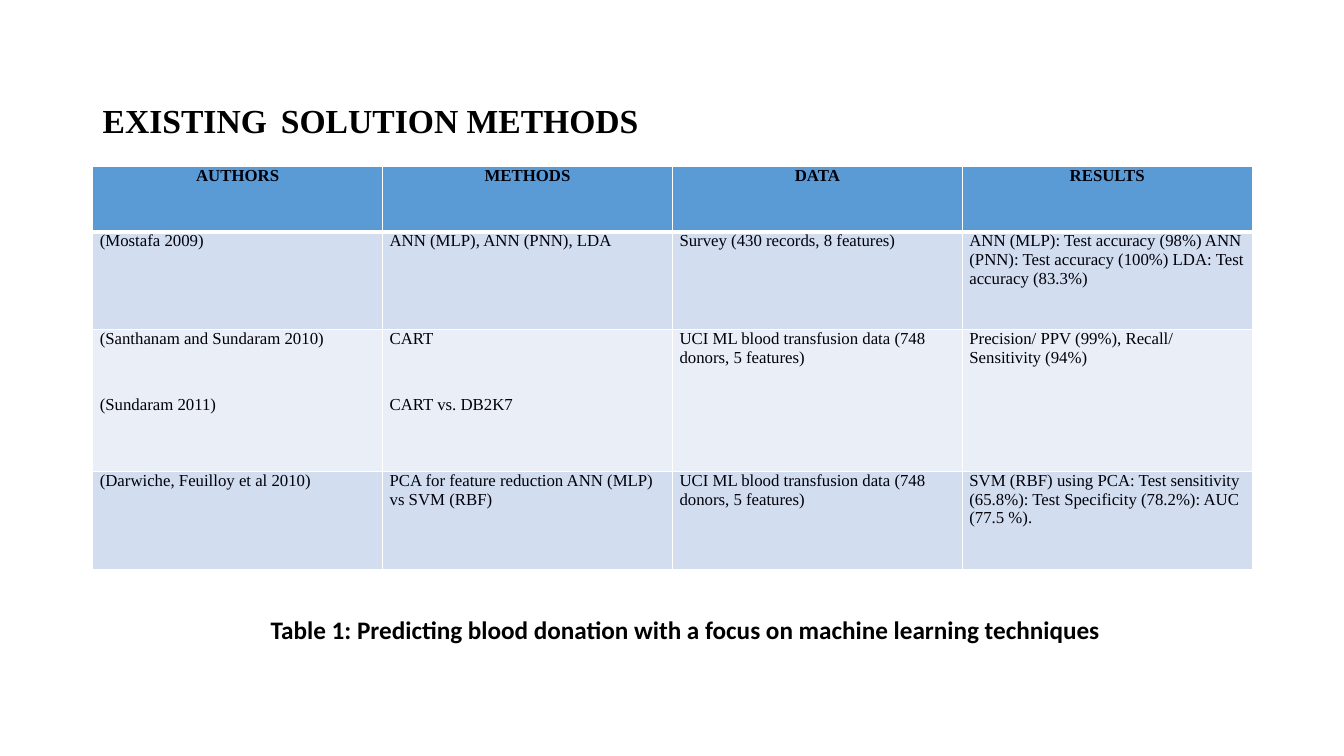
from lxml import etree
from pptx import Presentation
from pptx.dml.color import RGBColor
from pptx.enum.text import MSO_ANCHOR, PP_ALIGN
from pptx.oxml import parse_xml
from pptx.util import Inches, Pt

MIDDLE = MSO_ANCHOR.MIDDLE
CENTER = PP_ALIGN.CENTER
SERIF = "Times New Roman"
SANS = "Calibri"
NS = "http://schemas.openxmlformats.org/drawingml/2006/main"


def style(run, face, size, color, bold):
    run.font.name = face
    run.font.size = Pt(size)
    run.font.color.rgb = RGBColor.from_string(color)
    run.font.bold = bold


def border(cell, side, width):
    line = parse_xml(
        f'<a:{side} xmlns:a="{NS}" w="{Pt(width)}"><a:solidFill>'
        f'<a:srgbClr val="FFFFFF"/></a:solidFill></a:{side}>')
    props = cell._tc.get_or_add_tcPr()
    props.insert(len(props.findall(f"{{{NS}}}*")), line)


deck = Presentation()
deck.slide_width = Inches(13.33)
deck.slide_height = Inches(7.5)
slide = deck.slides.add_slide(deck.slide_layouts[6])

title = slide.shapes.add_textbox(Inches(0.92), Inches(0.4), Inches(11.5), Inches(1.45))
frame = title.text_frame
frame.word_wrap = True
frame.vertical_anchor = MIDDLE
head = frame.paragraphs[0]
head.line_spacing = 0.9
for words, face, size in [("EXISTING", SERIF, 24), (" ", SANS, 44),
                          ("SOLUTION METHODS", SERIF, 24)]:
    run = head.add_run()
    run.text = words
    style(run, face, size, "000000", True)

donors = "UCI ML blood transfusion data (748 donors, 5 features)"
rows = [
    ["AUTHORS", "METHODS", "DATA", "RESULTS"],
    ["(Mostafa 2009)", "ANN (MLP), ANN (PNN), LDA", "Survey (430 records, 8 features)",
     "ANN (MLP): Test accuracy (98%) ANN (PNN): Test accuracy (100%) "
     "LDA: Test accuracy (83.3%)"],
    ["(Santhanam and Sundaram 2010)\n(Sundaram 2011)", "CART\nCART vs. DB2K7", donors,
     "Precision/ PPV (99%), Recall/ Sensitivity (94%)"],
    ["(Darwiche, Feuilloy et al 2010)", "PCA for feature reduction ANN (MLP) vs SVM (RBF)",
     donors,
     "SVM (RBF) using PCA: Test sensitivity (65.8%): Test Specificity (78.2%): "
     "AUC (77.5 %)."],
]
fills = ["5B9BD5", "D2DEEF", "EAEFF7", "D2DEEF"]
heights = [0.65, 0.97, 1.41, 0.97]

table = slide.shapes.add_table(4, 4, Inches(0.92), Inches(1.65), Inches(11.5), Inches(4)).table
for col in table.columns:
    col.width = Inches(11.5 / 4)
for r, texts in enumerate(rows):
    table.rows[r].height = Inches(heights[r])
    for c, words in enumerate(texts):
        cell = table.cell(r, c)
        cell.margin_left = cell.margin_right = Inches(0.07)
        cell.margin_top = cell.margin_bottom = 0
        for side in ("lnL", "lnR", "lnT", "lnB"):
            thick = (r, side) in [(0, "lnB"), (1, "lnT")]
            border(cell, side, 3 if thick else 1)
        cell.fill.solid()
        cell.fill.fore_color.rgb = RGBColor.from_string(fills[r])
        cell.text_frame.text = words
        for para in cell.text_frame.paragraphs:
            para.space_before = para.space_after = Pt(17)
            if r == 0:
                para.alignment = CENTER
            style(para.runs[0], SERIF, 12, "00000A", r == 0)

note = slide.shapes.add_textbox(Inches(2.53), Inches(6.05), Inches(8.82), Inches(0.4))
note.text_frame.word_wrap = True
note.text_frame.text = (" Table 1: Predicting blood donation with a focus on "
                        "machine learning techniques")
style(note.text_frame.paragraphs[0].runs[0], SANS, 18, "000000", True)

deck.save("out.pptx")
